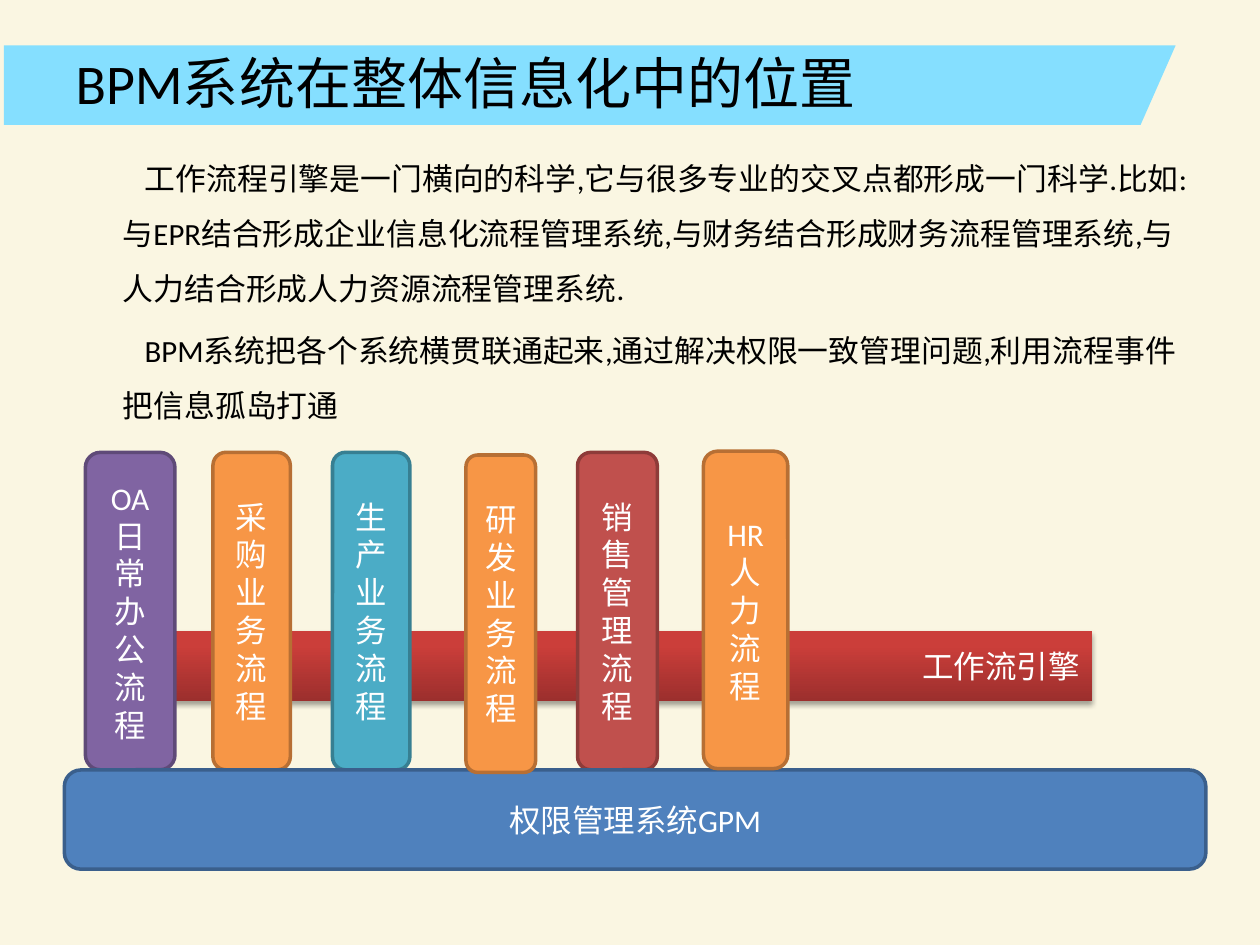
"""Build a slide that places the BPM system within the overall IT landscape."""
from dataclasses import dataclass

from lxml import etree
from pptx import Presentation
from pptx import util as u
from pptx.dml.color import RGBColor
from pptx.enum import shapes, text
from pptx.oxml.ns import qn

COLORS = {
    "background": "FAF6E2", "banner": "85DFFF", "black": "000000", "white": "FFFFFF",
    "orange": "F79646", "orange_line": "B76F34", "teal": "4BACC6", "teal_line": "377F92",
    "purple": "8064A2", "purple_line": "5F4A78", "red": "C0504D", "red_line": "8E3B39",
    "blue": "4F81BD", "blue_line": "3A5F8C", "engine_dark": "9C2F2D", "engine_light": "CB3E3A",
}
PILLAR_HEIGHT = 181.4
INTRO = [
    "工作流程引擎是一门横向的科学,它与很多专业的交叉点都形成一门科学.比如:与EPR结合形成企业信息化流程管理系统,"
    "与财务结合形成财务流程管理系统,与人力结合形成人力资源流程管理系统.",
    "BPM系统把各个系统横贯联通起来,通过解决权限一致管理问题,利用流程事件把信息孤岛打通",
]


@dataclass
class Block:
    label: str
    color: str
    left: float
    width: float
    top: float = 258.5
    height: float = PILLAR_HEIGHT


BLOCKS = [
    Block("采购业务流程", "orange", 121.7, 44.2),
    Block("生产业务流程", "teal", 190, 44.2),
    Block("OA日常办公流程", "purple", 48.8, 51.2),
    Block("销售管理流程", "red", 330, 45.6),
    Block("权限管理系统GPM", "blue", 36.8, 652.3, 440, 56.7),
    Block("研发业务流程", "orange", 266.3, 39.8, 260),
    Block("HR人力流程", "orange", 402, 48.2, 257.8),
]


def rgb(name: str) -> RGBColor:
    return RGBColor.from_string(COLORS[name])


def apply(obj, formats: dict) -> None:
    for key, value in formats.items():
        setattr(obj, key, value)


def place(sp, left: float, top: float, width: float, height: float) -> None:
    apply(sp, {"left": u.Pt(left), "top": u.Pt(top), "width": u.Pt(width), "height": u.Pt(height)})


def write(p, label: str, size: float, color: str, align=text.PP_ALIGN.LEFT) -> None:
    p.alignment = align
    r = p.add_run()
    r.text = label
    apply(r.font, {"name": "Calibri", "size": u.Pt(size)})
    r.font.color.rgb = rgb(color)


def add_box(s, kind, block: Block, align):
    sp = s.shapes.add_shape(kind, *(u.Pt(v) for v in (block.left, block.top, block.width, block.height)))
    sp.shadow.inherit = False
    apply(sp.text_frame, {"word_wrap": True, "vertical_anchor": text.MSO_ANCHOR.MIDDLE})
    write(sp.text_frame.paragraphs[0], block.label, 18, "white", align)
    return sp


def add_block(s, block: Block) -> None:
    sp = add_box(s, shapes.MSO_SHAPE.ROUNDED_RECTANGLE, block, text.PP_ALIGN.CENTER)
    sp.fill.solid()
    sp.fill.fore_color.rgb = rgb(block.color)
    sp.line.color.rgb = rgb(block.color + "_line")
    sp.line.width = u.Pt(2)


def add_engine(s) -> None:
    bar = Block("工作流引擎", "engine_light", 54, 570, 360.7, 39.7)
    sp = add_box(s, shapes.MSO_SHAPE.RECTANGLE, bar, text.PP_ALIGN.RIGHT)
    sp.line.fill.background()
    sp.fill.gradient()
    sp.fill.gradient_angle = 90
    for stop, position, color in zip(sp.fill.gradient_stops, (0, 0.8), ("engine_dark", bar.color)):
        stop.position = position
        stop.color.rgb = rgb(color)
    effects = sp._element.spPr.find(qn("a:effectLst"))
    shadow = etree.SubElement(effects, qn("a:outerShdw"), blurRad=str(u.Pt(3.1)),
                              dist=str(u.Pt(1.8)), dir="5400000", rotWithShape="0")
    color = etree.SubElement(shadow, qn("a:srgbClr"), val=COLORS["black"])
    etree.SubElement(color, qn("a:alpha"), val="35000")


def add_banner(s) -> None:
    builder = s.shapes.build_freeform(u.Pt(2.2), u.Pt(26), scale=1.0)
    corners = [(671.8, 26), (651.8, 71.4), (2.2, 71.4)]
    builder.add_line_segments([(u.Pt(x), u.Pt(y)) for x, y in corners])
    sp = builder.convert_to_shape()
    sp.shadow.inherit = False
    sp.fill.solid()
    sp.fill.fore_color.rgb = rgb("banner")
    sp.line.fill.background()
    s.shapes._spTree.remove(sp._element)
    s.shapes._spTree.insert(2, sp._element)


def add_title(s) -> None:
    sp = s.shapes.title
    place(sp, 36, 23.8, 648, 46)
    apply(sp.text_frame, {"word_wrap": True, "vertical_anchor": text.MSO_ANCHOR.MIDDLE})
    write(sp.text_frame.paragraphs[0], "BPM系统在整体信息化中的位置", 32, "black")


def add_intro(s) -> None:
    tf = s.shapes.add_textbox(u.Pt(36), u.Pt(77), u.Pt(648), u.Pt(175.7)).text_frame
    tf.word_wrap = True
    for i, label in enumerate(INTRO):
        p = tf.add_paragraph() if i else tf.paragraphs[0]
        apply(p, {"line_spacing": 1.5, "space_before": u.Pt(3.5)})
        write(p, label, 17.6, "black")
        pPr = p._p.get_or_add_pPr()
        pPr.set("marL", str(u.Pt(27)))
        pPr.set("indent", str(u.Pt(12.6)))


def main() -> None:
    prs = Presentation()
    apply(prs, {"slide_width": u.Pt(720), "slide_height": u.Pt(540)})
    s = prs.slides.add_slide(prs.slide_layouts[5])
    s.background.fill.solid()
    s.background.fill.fore_color.rgb = rgb("background")
    add_banner(s)
    add_title(s)
    add_intro(s)
    add_engine(s)
    for block in BLOCKS:
        add_block(s, block)
    prs.save("out.pptx")


if __name__ == "__main__":
    main()
